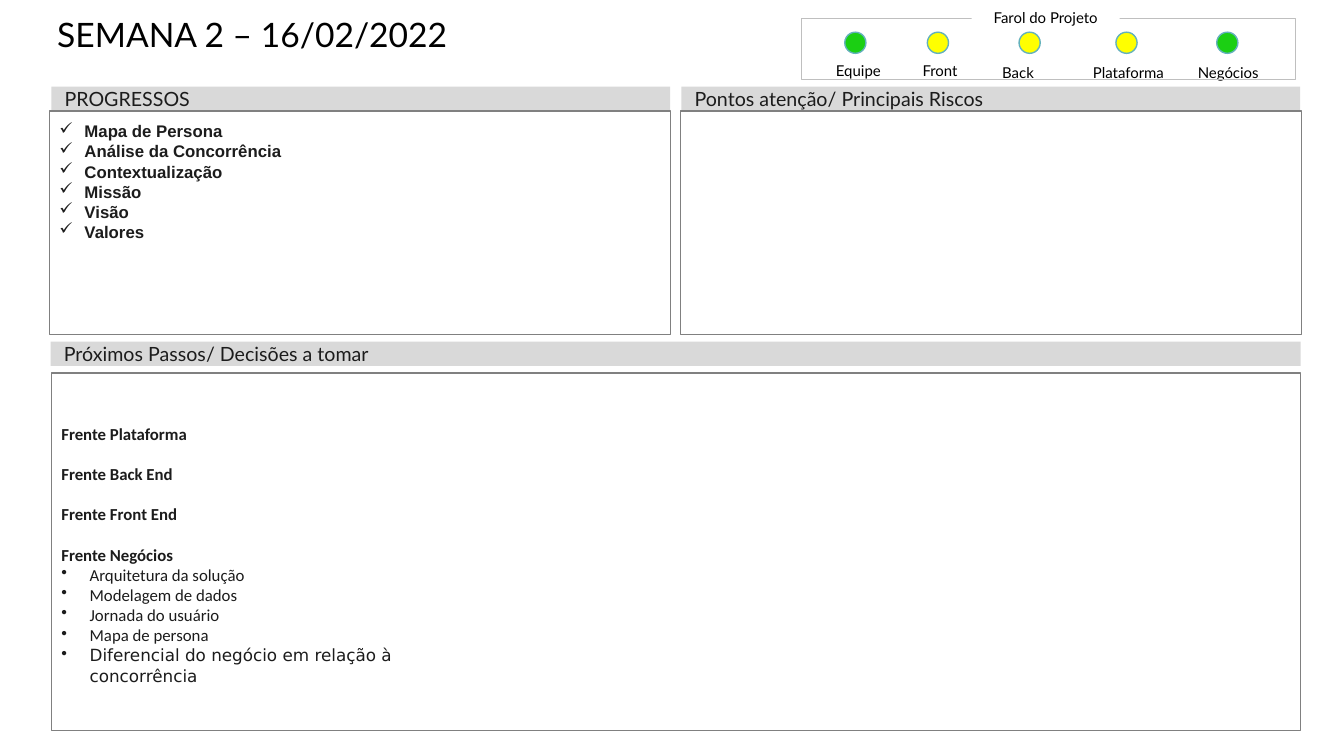
from lxml import etree
from pptx import Presentation
from pptx import util as u
from pptx.dml.color import RGBColor
from pptx.enum import shapes, text
from pptx.oxml.ns import qn

Pt = u.Pt
BLACK = RGBColor(0x00, 0x00, 0x00)
INK = RGBColor(0x1C, 0x1C, 0x1C)
WHITE = RGBColor(0xFF, 0xFF, 0xFF)
HEADER_GREY = RGBColor(0xD9, 0xD9, 0xD9)
BORDER_GREY = RGBColor(0x80, 0x80, 0x80)
FRAME_GREY = RGBColor(0xBF, 0xBF, 0xBF)
TEAL = RGBColor(0x63, 0xB1, 0xBC)
GREEN = RGBColor(0x1B, 0xCF, 0x13)
YELLOW = RGBColor(0xFF, 0xFF, 0x00)

PROGRESS = ["Mapa de Persona", "Análise da Concorrência", "Contextualização",
            "Missão", "Visão", "Valores"]
FRONTS = ["Frente Plataforma", "Frente Back End", "Frente Front End", "Frente Negócios"]
BUSINESS_STEPS = ["Arquitetura da solução", "Modelagem de dados", "Jornada do usuário",
                  "Mapa de persona", "Diferencial do negócio em relação à concorrência"]
# Label, light colour, light left, label left, label top (relative to the frame)
LIGHTS = [("Equipe", GREEN, 31, 8.7, 31), ("Front", YELLOW, 90, 67, 31),
          ("Back", YELLOW, 155.5, 133.2, 32.4), ("Plataforma", YELLOW, 224.7, 201.6, 32.4),
          ("Negócios", GREEN, 296.7, 272.9, 32.4)]


def add_box(slide, box, fill=None, line=None, weight=1, kind=shapes.MSO_SHAPE.RECTANGLE):
    shape = slide.shapes.add_shape(kind, *map(Pt, box))
    shape.shadow.inherit = False
    if fill is None:
        shape.fill.background()
    else:
        shape.fill.solid()
        shape.fill.fore_color.rgb = fill
    if line is None:
        shape.line.fill.background()
    else:
        shape.line.color.rgb = line
        shape.line.width = Pt(weight)
    return shape


def set_frame(shape, insets, anchor=text.MSO_ANCHOR.TOP, wrap=True):
    frame = shape.text_frame
    frame.word_wrap = wrap
    frame.vertical_anchor = anchor
    frame.margin_left, frame.margin_top, frame.margin_right, frame.margin_bottom = map(Pt, insets)
    return frame


def write(paragraph, words, size, font, color, bold=False, align=text.PP_ALIGN.LEFT):
    paragraph.text = words
    paragraph.alignment = align
    paragraph.font.size = Pt(size)
    paragraph.font.name = font
    paragraph.font.bold = bold
    paragraph.font.color.rgb = color


def add_bullet(paragraph, mark, indent):
    props = paragraph._p.get_or_add_pPr()
    props.set("marL", str(Pt(indent)))
    props.set("indent", str(-Pt(indent)))
    bullet = etree.Element(qn("a:buChar"), char=mark)
    defaults = props.find(qn("a:defRPr"))
    if defaults is None:
        props.append(bullet)
    else:
        defaults.addprevious(bullet)


def add_lines(frame, lines):
    """Yield a paragraph for each line, starting with the one already there."""
    for i, line in enumerate(lines):
        yield (frame.add_paragraph() if i else frame.paragraphs[0]), line


def add_title(slide, box):
    title = slide.shapes.add_textbox(*map(Pt, box))
    paragraph = set_frame(title, (7.2, 0, 7.2, 0)).paragraphs[0]
    write(paragraph, "SEMANA 2 – 16/02/2022", 24, "Lato", BLACK)
    paragraph.line_spacing = 0.9


def add_header(slide, left, top, width, heading):
    header = add_box(slide, (left, top, width, 17.3), HEADER_GREY)
    frame = set_frame(header, (9.4, 5, 9.4, 5), text.MSO_ANCHOR.MIDDLE)
    write(frame.paragraphs[0], heading, 14, "Lato", INK)


def add_progress(slide, box):
    panel = add_box(slide, box, line=BORDER_GREY)
    frame = set_frame(panel, (7.2, 7.2, 7.2, 3.6))
    for paragraph, item in add_lines(frame, PROGRESS):
        write(paragraph, item, 12, "Arial", INK, bold=True)
        add_bullet(paragraph, "✓", 18)


def add_next_steps(slide, box):
    panel = add_box(slide, box, line=BORDER_GREY)
    frame = set_frame(panel, (7.2, 7.2, 7.2, 3.6), text.MSO_ANCHOR.MIDDLE)
    frame._txBody.bodyPr.set("numCol", "3")
    for paragraph, line in add_lines(frame, FRONTS + BUSINESS_STEPS):
        is_front = line in FRONTS
        font = "DejaVu Sans" if line == BUSINESS_STEPS[-1] else "Calibri"
        write(paragraph, line, 12, font, INK, bold=is_front)
        if not is_front:
            add_bullet(paragraph, "•", 20.25)
        elif line != FRONTS[0]:
            paragraph.space_before = Pt(14.4)


def add_caption(shape, words):
    frame = set_frame(shape, (3.6, 3.6, 3.6, 0), text.MSO_ANCHOR.BOTTOM, wrap=False)
    write(frame.paragraphs[0], words, 10.7, "Lato", BLACK, align=text.PP_ALIGN.CENTER)


def add_project_lights(slide, box):
    left, top, width, height = box
    for label, color, light_x, label_x, label_y in LIGHTS:
        add_box(slide, (left + light_x, top + 10, 15.1, 15.1), color, TEAL,
                kind=shapes.MSO_SHAPE.OVAL)
        label_width, label_height = (43.2, 14.4) if label == "Back" else (64.1, 13)
        label_top = top + label_y - (label_height - 13)
        caption = slide.shapes.add_textbox(
            Pt(left + label_x), Pt(label_top), Pt(label_width), Pt(label_height))
        add_caption(caption, label)
    add_box(slide, box, line=FRAME_GREY, weight=0.5)
    # Heading that interrupts the frame's top edge
    add_caption(add_box(slide, (left + 121.7, top - 9.4, 105.8, 15.1), WHITE),
                "Farol do Projeto")


def main():
    deck = Presentation()
    deck.slide_width, deck.slide_height = Pt(960), Pt(540)
    slide = deck.slides.add_slide(deck.slide_layouts[6])

    # Title and status lights
    add_title(slide, (33.8, 13, 500, 56.9))
    add_project_lights(slide, (572.4, 13, 352.8, 43.9))

    # Progress and risks
    add_header(slide, 36.7, 61.9, 442, "PROGRESSOS")
    add_progress(slide, (35.3, 79.2, 443.5, 159.8))
    add_header(slide, 486.7, 61.9, 442, "Pontos atenção/ Principais Riscos")
    add_box(slide, (486, 79.2, 443.5, 159.8), line=BORDER_GREY)

    # Next steps
    add_header(slide, 36.2, 244.1, 892.8, "Próximos Passos/ Decisões a tomar")
    add_next_steps(slide, (36.7, 266.4, 892.1, 255.6))

    deck.save("out.pptx")


if __name__ == "__main__":
    main()
